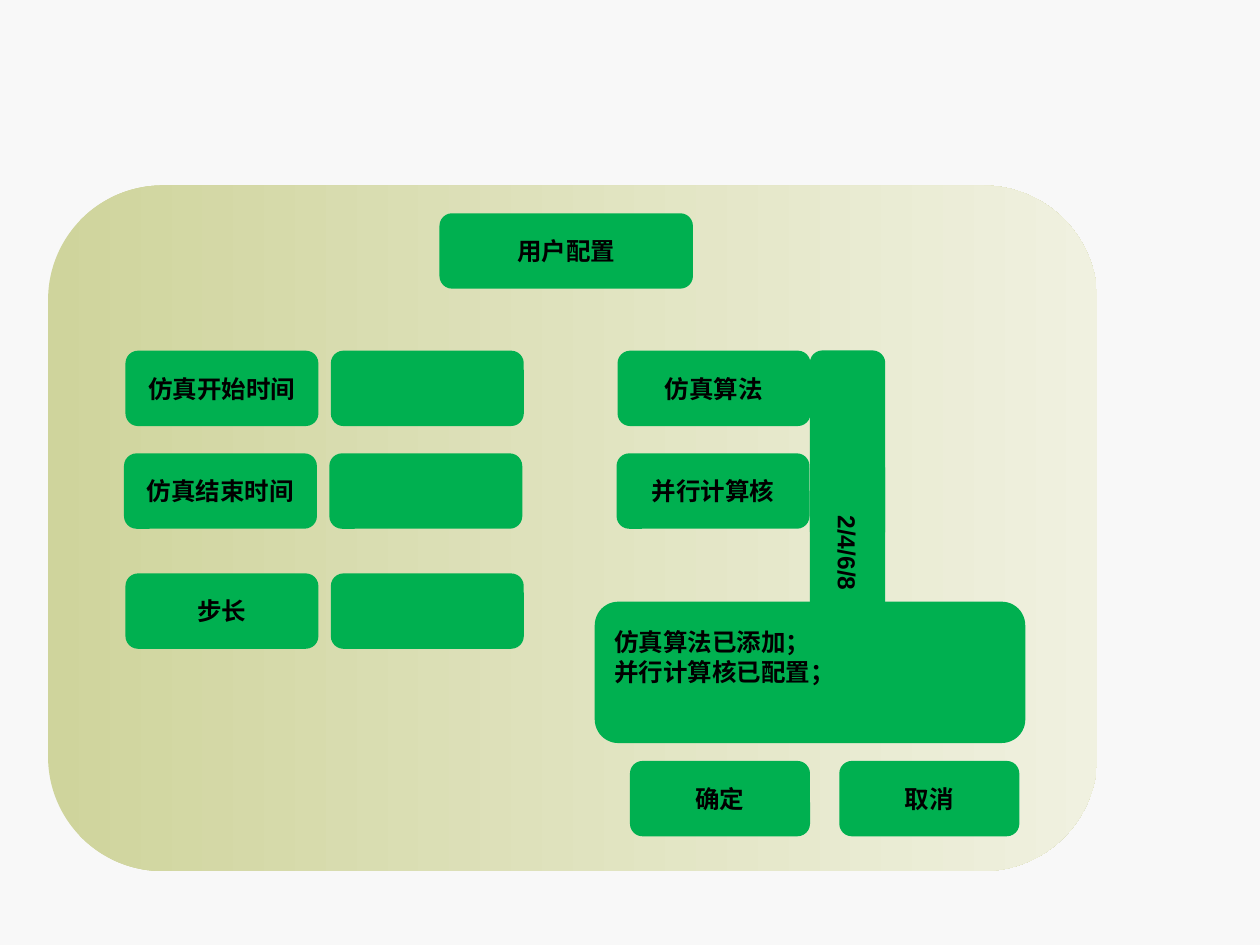
from pptx import Presentation
from pptx.dml.color import RGBColor
from pptx.enum.shapes import MSO_SHAPE
from pptx.enum.text import MSO_ANCHOR, PP_ALIGN
from pptx.util import Cm, Pt

ROUNDED = MSO_SHAPE.ROUNDED_RECTANGLE
MIDDLE = MSO_ANCHOR.MIDDLE
CENTER, JUSTIFY = PP_ALIGN.CENTER, PP_ALIGN.JUSTIFY

BACKGROUND = RGBColor(0xF8, 0xF8, 0xF8)
PANEL_START = RGBColor(0xCF, 0xD4, 0x9C)
PANEL_END = RGBColor(0xF0, 0xF1, 0xE0)
GREEN = RGBColor(0x00, 0xB0, 0x50)
BLACK = RGBColor(0x00, 0x00, 0x00)

# Common sizes in centimetres
BOX_HEIGHT = 1.52
FIELD_WIDTH = 3.89
BUTTON_WIDTH = 3.63


def write_text(box, text, size=14, align=CENTER, bottom=0.13):
    frame = box.text_frame
    frame.word_wrap = True
    frame.vertical_anchor = MIDDLE
    frame.margin_bottom = Cm(bottom)
    for index, line in enumerate(text.split("\n")):
        para = frame.paragraphs[0] if index == 0 else frame.add_paragraph()
        para.alignment = align
        span = para.add_run()
        span.text = line
        span.font.name = "Arial"
        span.font.size = Pt(size)
        span.font.bold = True
        span.font.color.rgb = BLACK


def add_rounded(page, left, top, width, height):
    box = page.shapes.add_shape(ROUNDED, Cm(left), Cm(top), Cm(width), Cm(height))
    box.shadow.inherit = False
    box.line.fill.background()
    return box


def add_panel(page):
    panel = add_rounded(page, 0.97, 3.74, 21.15, 13.82)
    panel.fill.gradient()
    panel.fill.gradient_angle = 0
    for stop, color, position in zip(
        panel.fill.gradient_stops, (PANEL_START, PANEL_END), (0, 1)
    ):
        stop.color.rgb = color
        stop.position = position


def add_box(page, left, top, width=FIELD_WIDTH, height=BOX_HEIGHT,
            text="", rotation=0, **text_format):
    box = add_rounded(page, left, top, width, height)
    box.fill.solid()
    box.fill.fore_color.rgb = GREEN
    box.rotation = rotation
    if text:
        write_text(box, text, **text_format)


def main():
    deck = Presentation()
    deck.slide_width, deck.slide_height = Cm(25.4), Cm(19.05)
    page = deck.slides.add_slide(deck.slide_layouts[6])
    page.background.fill.solid()
    page.background.fill.fore_color.rgb = BACKGROUND
    add_panel(page)

    # Buttons and dialog title
    for left, text in ((12.7, "确定"), (16.92, "取消")):
        add_box(page, left, 15.34, BUTTON_WIDTH, text=text)
    add_box(page, 8.86, 4.3, 5.11, text="用户配置")

    # Time settings: label and empty field
    for left, top, text in (
        (2.53, 7.07, "仿真开始时间"),
        (2.5, 9.14, "仿真结束时间"),
        (2.53, 11.56, "步长"),
    ):
        add_box(page, left, top, text=text)
        add_box(page, left + 4.14, top)

    # Solver settings: label and upright drop-down
    for left, top, text, choice_top, choices in (
        (12.45, 7.07, "仿真算法", 8.25, ""),
        (12.43, 9.14, "并行计算核", 10.39, "2/4/6/8"),
    ):
        add_box(page, left, top, text=text)
        add_box(page, 15.14, choice_top, text=choices, rotation=90)

    # Status message
    add_box(page, 11.99, 12.13, 8.68, 2.85,
            text="仿真算法已添加；\n并行计算核已配置；", align=JUSTIFY, bottom=0.75)

    deck.save("out.pptx")


if __name__ == "__main__":
    main()
